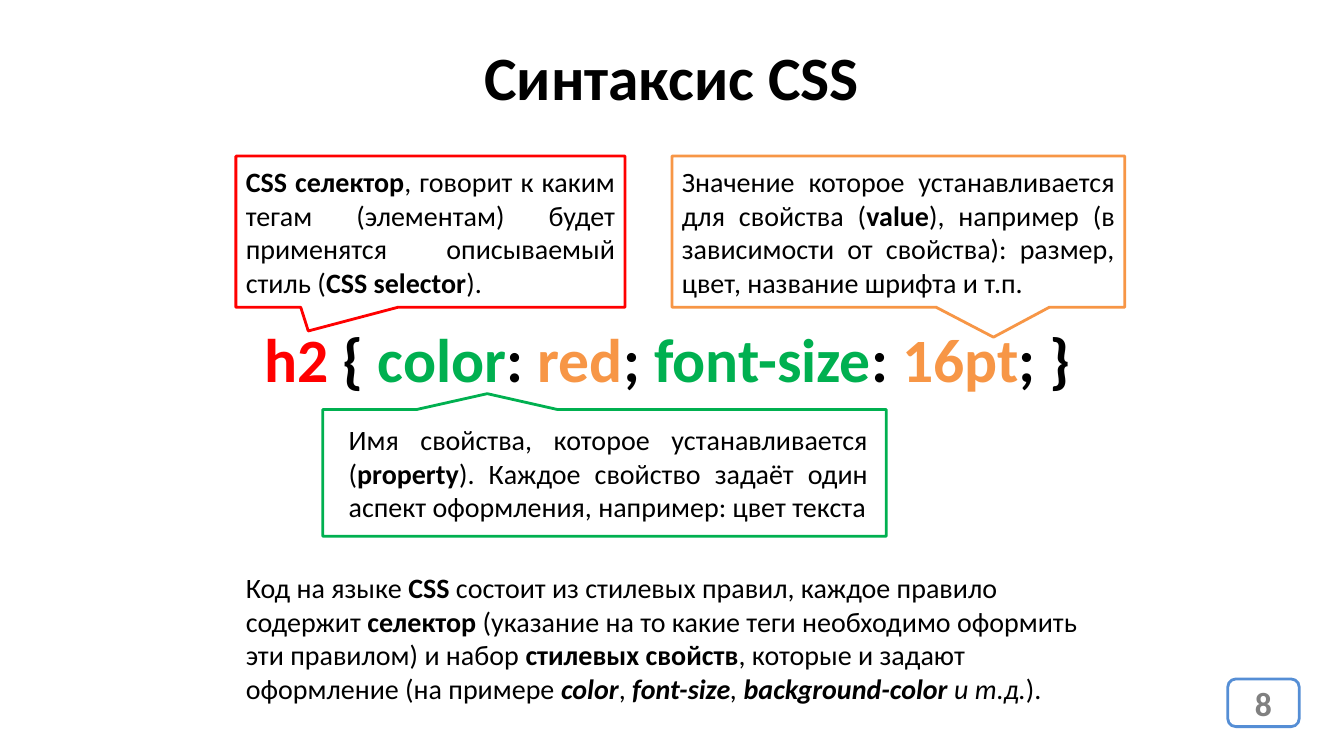
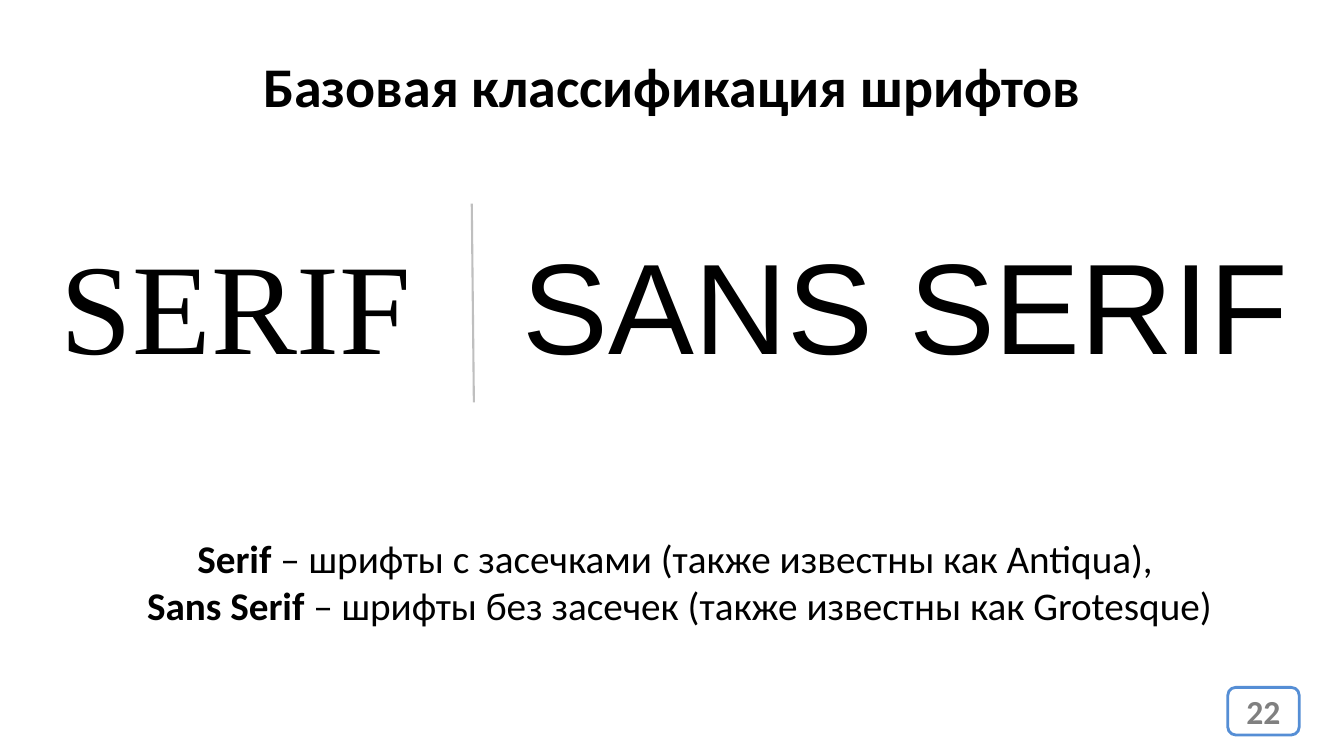
import pptx
import pptx.util
import pptx.dml.color
import pptx.enum.shapes
import pptx.enum.text
import pptx.oxml.ns
import lxml.etree

Pt = pptx.util.Pt
Align = pptx.enum.text.PP_ALIGN
Anchor = pptx.enum.text.MSO_ANCHOR
Kind = pptx.enum.shapes.MSO_SHAPE

INK = {
    "black": "000000",
    "white": "FFFFFF",
    "red": "FF0000",
    "green": "00B050",
    "orange": "F79646",
    "blue": "558ED5",
    "gray": "808080",
    "silver": "BFBFBF",
}
WIDTH, HEIGHT = 960, 540
BOLD = {"bold": True}
SLANT = {"italic": True}
BOTH = {"bold": True, "italic": True}


def color(name):
    return pptx.dml.color.RGBColor.from_string(INK[name])


def write(frame, *lines, align=Align.LEFT, anchor=Anchor.TOP, wrap=True,
          left=7.2, right=7.2, **base):
    frame.auto_size = pptx.enum.text.MSO_AUTO_SIZE.NONE
    frame.word_wrap = wrap
    frame.vertical_anchor = anchor
    frame.margin_left, frame.margin_right = Pt(left), Pt(right)
    frame.margin_top = frame.margin_bottom = Pt(3.6)
    for index, line in enumerate(lines):
        para = frame.add_paragraph() if index else frame.paragraphs[0]
        para.alignment = align
        for part in [line] if isinstance(line, str) else line:
            text, extra = (part, {}) if isinstance(part, str) else part
            style = {"size": 20, "face": "Calibri", "ink": "black",
                     "bold": False, "italic": False, **base, **extra}
            run = para.add_run()
            run.text = text
            font = run.font
            font.name, font.size = style["face"], Pt(style["size"])
            font.bold, font.italic = style["bold"], style["italic"]
            font.color.rgb = color(style["ink"])


def title(slide, text, top, high, size):
    head = slide.shapes.title
    head.left, head.top, head.width, head.height = map(Pt, (0, top, WIDTH, high))
    write(head.text_frame, text, align=Align.CENTER, size=size, bold=True)


def label(slide, box, *lines, **style):
    shape = slide.shapes.add_textbox(*map(Pt, box))
    write(shape.text_frame, *lines, **style)


def panel(slide, kind, box, edge, line, fill=None, **style):
    shape = slide.shapes.add_shape(kind, *map(Pt, box))
    shape.shadow.inherit = False
    if fill:
        shape.fill.solid()
        shape.fill.fore_color.rgb = color(fill)
    else:
        shape.fill.background()
    shape.line.color.rgb = color(edge)
    shape.line.width = Pt(2)
    write(shape.text_frame, line, anchor=Anchor.MIDDLE, **style)
    return shape


def callout(slide, box, tip, edge, line, **style):
    shape = panel(slide, Kind.RECTANGULAR_CALLOUT, box, edge, line,
                  align=Align.JUSTIFY, **style)
    shape.adjustments[0], shape.adjustments[1] = tip


def badge(slide, number, top):
    panel(slide, Kind.ROUNDED_RECTANGLE, (877, top, 51, 34), "blue", number,
          fill="white", align=Align.CENTER, size=24, ink="gray", bold=True)


def rule(slide, ends):
    line = slide.shapes.add_connector(
        pptx.enum.shapes.MSO_CONNECTOR.STRAIGHT, *map(Pt, ends))
    line.line.color.rgb = color("silver")
    line.line.width = Pt(1.5)
    props = line._element.spPr
    lxml.etree.SubElement(props, pptx.oxml.ns.qn("a:effectLst"))


def syntax(slide):
    title(slide, "Синтаксис CSS", 24, 60, 44)
    badge(slide, "8", 485)
    code = [("h2 ", "red"), ("{ ", "black"), ("color", "green"),
            (": ", "black"), ("red", "orange"), ("; ", "black"),
            ("font-size", "green"), (": ", "black"), ("16pt", "orange"),
            ("; }", "black")]
    label(slide, (178.5, 226, 597, 60),
          [(text, {"ink": ink}) for text, ink in code],
          align=Align.CENTER, wrap=False, size=44, bold=True)
    callout(slide, (168.5, 111.5, 278, 108), (-0.314, 0.657), "red", [
        ("CSS селектор", BOLD),
        ", говорит к каким тегам (элементам) будет применятся описываемый стиль (",
        ("CSS selector", BOLD), ")."])
    callout(slide, (230.5, 292.5, 402.5, 90.5), (-0.208, -0.625), "green", [
        "Имя свойства, которое устанавливается (", ("property", BOLD),
        "). Каждое свойство задаёт один аспект оформления, например: цвет текста"],
        left=18.5, right=13)
    callout(slide, (480, 111.5, 323.5, 108), (0.21, 0.698), "orange", [
        "Значение которое устанавливается для свойства (", ("value", BOLD),
        "), например (в зависимости от свойства): размер, цвет, название шрифта и т.п."])
    label(slide, (168.5, 404, 635, 104.5), [
        "Код на языке ", ("CSS ", BOLD),
        "состоит из стилевых правил, каждое правило содержит ",
        ("селектор", BOLD),
        " (указание на то какие теги необходимо оформить эти правилом) и набор ",
        ("стилевых свойств", BOLD),
        ", которые и задают оформление (на примере ",
        ("color", BOTH), ", ", ("font-size", BOTH), (", ", SLANT),
        ("background-color ", BOTH), ("и т.д.", SLANT), ")."])


def fonts(slide):
    title(slide, "Базовая классификация шрифтов", 33, 55.5, 40)
    badge(slide, "22", 491)
    label(slide, (37.5, 378, 895.5, 75),
          [("Serif", BOLD), " – шрифты с засечками (также известны как Antiqua), "],
          [("Sans Serif ", BOLD), "– шрифты без засечек (также известны как Grotesque)"],
          align=Align.CENTER, size=28)
    for text, face, left, wide in (("SERIF", "Times New Roman", 36.5, 268),
                                   ("SANS SERIF", "Arial", 366.5, 567.5)):
        label(slide, (left, 157.5, wide, 119), text,
              wrap=False, size=92, face=face)
    rule(slide, (337, 145.5, 338.5, 287.5))


def main():
    deck = pptx.Presentation()
    deck.slide_width, deck.slide_height = Pt(WIDTH), Pt(HEIGHT)
    for build in (syntax, fonts):
        build(deck.slides.add_slide(deck.slide_layouts[5]))
    deck.save("out.pptx")


if __name__ == "__main__":
    main()
